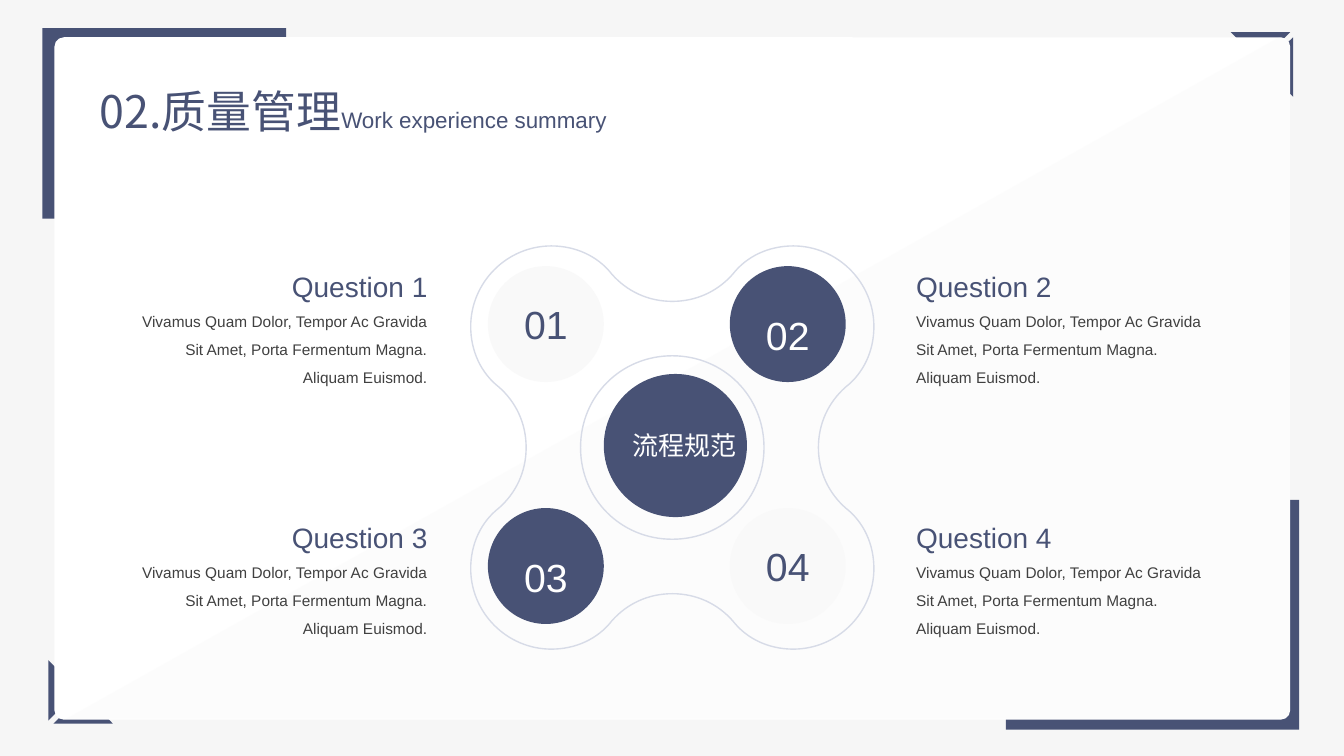
import pptx
import pptx.util
import pptx.dml.color
import pptx.enum.shapes
import pptx.enum.text
import pptx.oxml.ns
import lxml.etree

Inches = pptx.util.Inches
RGBColor = pptx.dml.color.RGBColor
SHAPES = pptx.enum.shapes.MSO_SHAPE
ALIGN = pptx.enum.text.PP_ALIGN
ANCHOR = pptx.enum.text.MSO_ANCHOR
qn = pptx.oxml.ns.qn

NAVY = RGBColor(0x48, 0x52, 0x75)
WHITE = RGBColor(0xFF, 0xFF, 0xFF)
BACKGROUND = RGBColor(0xF6, 0xF6, 0xF6)
PANEL = RGBColor(0xF2, 0xF2, 0xF2)
PALE = RGBColor(0xF9, 0xF9, 0xF9)
OUTLINE = RGBColor(0xD7, 0xDB, 0xE7)
BODY = RGBColor(0x40, 0x40, 0x40)
LATIN, CHINESE = "Arial", "Noto Sans CJK SC"

TITLE = [("02.质量管理", 32, CHINESE), ("Work experience summary", 16, LATIN)]
HUB_LABEL = "流程规范"
DETAIL = "Vivamus Quam Dolor, Tempor Ac Gravida Sit Amet, Porta Fermentum Magna. Aliquam Euismod."
QUESTIONS = [
    ("02", "Question 2", 1, 0),
    ("04", "Question 4", 1, 1),
    ("03", "Question 3", 0, 1),
    ("01", "Question 1", 0, 0),
]
CIRCLE_LEFTS, CIRCLE_TOPS, CIRCLE_SIZE = (4.84, 7.24), (2.64, 5.04), 1.15
TEXT_LEFTS, TEXT_TOPS = (1.21, 8.99), (2.46, 4.95)

CORNER_BLOCKS = [(0.42, 0.28, 2.42, 1.89), (9.98, 4.96, 2.91, 2.28)]
CORNER_MARKS = [
    [[(0.63, 6.7), (0.63, 7), (0.48, 7.15), (0.48, 6.55)],
     [(1.12, 7.18), (0.53, 7.18), (0.68, 7.03), (0.98, 7.03)]],
    [[(12.36, 0.47), (12.65, 0.47), (12.8, 0.32), (12.21, 0.32)],
     [(12.83, 0.96), (12.83, 0.37), (12.68, 0.51), (12.68, 0.81)]],
]
PANEL_START = (12.69, 0.37)
PANEL_SEGMENTS = [
    [(12.7, 0.37)],
    [(12.76, 0.37), (12.8, 0.41), (12.8, 0.46)],
    [(12.8, 7.04)],
    [(12.8, 7.09), (12.76, 7.13), (12.7, 7.13)],
    [(0.66, 7.13)],
]
CENTER_X, CENTER_Y = 6.67, 4.44
LOBE_START = (0, -1.45)
LOBE_CURVES = [
    [(0.24, -1.45), (0.45, -1.55), (0.6, -1.72)],
    [(0.74, -1.9), (0.96, -2), (1.2, -2)],
    [(1.64, -2), (2, -1.64), (2, -1.2)],
    [(2, -0.96), (1.9, -0.74), (1.72, -0.6)],
    [(1.55, -0.45), (1.45, -0.24), (1.45, 0)],
]
RING_START = (0, -0.91)
RING_CURVES = [[(0.51, -0.91), (0.91, -0.51), (0.91, 0)]]


def style(shape, fill=None, line=None):
    shape.shadow.inherit = False
    if fill is None:
        shape.fill.background()
    else:
        shape.fill.solid()
        shape.fill.fore_color.rgb = fill
    if line is None:
        shape.line.fill.background()
    else:
        shape.line.color.rgb = line
        shape.line.width = pptx.util.Pt(1)
    return shape


def add_preset(slide, kind, box, fill):
    return style(slide.shapes.add_shape(kind, *map(Inches, box)), fill)


def add_outline(slide, contours, fill=None, line=None):
    def scaled(point):
        return tuple(map(Inches, point))

    builder = slide.shapes.build_freeform(*scaled(contours[0][0]), scale=1.0)
    for index, (start, segments) in enumerate(contours):
        if index:
            builder.move_to(*scaled(start))
        builder.add_line_segments([scaled(point) for segment in segments for point in segment], close=True)
    shape = builder.convert_to_shape()
    lines = iter(list(shape._element.iter(qn("a:lnTo"))))
    for _, segments in contours:
        for segment in segments:
            steps = [next(lines) for _ in segment]
            if len(steps) == 3:
                steps[0].addprevious(curve := lxml.etree.Element(qn("a:cubicBezTo")))
                for step in steps:
                    curve.append(step[0])
                    step.getparent().remove(step)
    return style(shape, fill, line)


def polygon(points):
    return points[0], [[point] for point in points[1:]]


def four_turns(start, curves):
    def placed(point):
        return CENTER_X + point[0], CENTER_Y + point[1]

    segments, quarter = [], curves
    for turn in range(4):
        segments += [[placed(point) for point in curve] for curve in quarter]
        quarter = [[(-y, x) for x, y in curve] for curve in quarter]
    return placed(start), segments


def add_text_box(slide, box, wrap):
    frame = slide.shapes.add_textbox(*map(Inches, box)).text_frame
    frame.word_wrap = wrap
    frame.auto_size = pptx.enum.text.MSO_AUTO_SIZE.SHAPE_TO_FIT_TEXT
    return frame


def write(paragraph, text, size, color, font=LATIN, align=None, spacing=None):
    run = paragraph.add_run()
    run.text = text
    run.font.size = pptx.util.Pt(size)
    run.font.color.rgb = color
    run.font.name = font
    east_asian = lxml.etree.SubElement(run.font._element, qn("a:ea"))
    east_asian.set("typeface", font)
    if align is not None:
        paragraph.alignment = align
    if spacing is not None:
        paragraph.line_spacing = spacing


def add_frame(slide):
    for box in CORNER_BLOCKS:
        add_preset(slide, SHAPES.RECTANGLE, box, NAVY)
    for mark in CORNER_MARKS:
        add_outline(slide, [polygon(points) for points in mark], NAVY)
    card = add_preset(slide, SHAPES.ROUNDED_RECTANGLE, (0.54, 0.37, 12.26, 6.77), WHITE)
    card.adjustments[0] = 0.014
    panel = add_outline(slide, [(PANEL_START, PANEL_SEGMENTS)], PANEL)
    color = panel._element.spPr.find(qn("a:solidFill")).find(qn("a:srgbClr"))
    lxml.etree.SubElement(color, qn("a:alpha")).set("val", "16000")


def add_circle(slide, number, column, row):
    dark = column != row
    box = (CIRCLE_LEFTS[column], CIRCLE_TOPS[row], CIRCLE_SIZE, CIRCLE_SIZE)
    circle = add_preset(slide, SHAPES.OVAL, box, NAVY if dark else PALE)
    circle.text_frame.vertical_anchor = ANCHOR.TOP if dark else ANCHOR.MIDDLE
    write(circle.text_frame.paragraphs[0], number, 28, WHITE if dark else NAVY,
          align=ALIGN.CENTER, spacing=1.5 if dark else None)


def add_hub(slide):
    add_preset(slide, SHAPES.OVAL, (5.99, 3.71, 1.42, 1.42), NAVY)
    label = add_text_box(slide, (6, 4.21, 1.41, 0.41), False)
    write(label.paragraphs[0], HUB_LABEL, 18.6, WHITE, CHINESE, ALIGN.RIGHT)


def add_question(slide, heading, column, row):
    align = ALIGN.LEFT if column else ALIGN.RIGHT
    frame = add_text_box(slide, (TEXT_LEFTS[column], TEXT_TOPS[row], 3.13, 1.44), True)
    write(frame.paragraphs[0], heading, 20, NAVY, align=align, spacing=1.5)
    write(frame.add_paragraph(), DETAIL, 11, BODY, align=align, spacing=1.5)


def main():
    presentation = pptx.Presentation()
    presentation.slide_width, presentation.slide_height = Inches(40 / 3), Inches(7.5)
    slide = presentation.slides.add_slide(presentation.slide_layouts[6])
    slide.background.fill.solid()
    slide.background.fill.fore_color.rgb = BACKGROUND
    add_frame(slide)
    title = add_text_box(slide, (0.89, 0.78, 6.33, 0.64), False)
    for text, size, font in TITLE:
        write(title.paragraphs[0], text, size, NAVY, font)
    contours = [four_turns(LOBE_START, LOBE_CURVES), four_turns(RING_START, RING_CURVES)]
    add_outline(slide, contours, line=OUTLINE)
    for number, heading, column, row in QUESTIONS:
        add_circle(slide, number, column, row)
    add_hub(slide)
    for number, heading, column, row in QUESTIONS:
        add_question(slide, heading, column, row)
    presentation.save("out.pptx")


if __name__ == "__main__":
    main()
